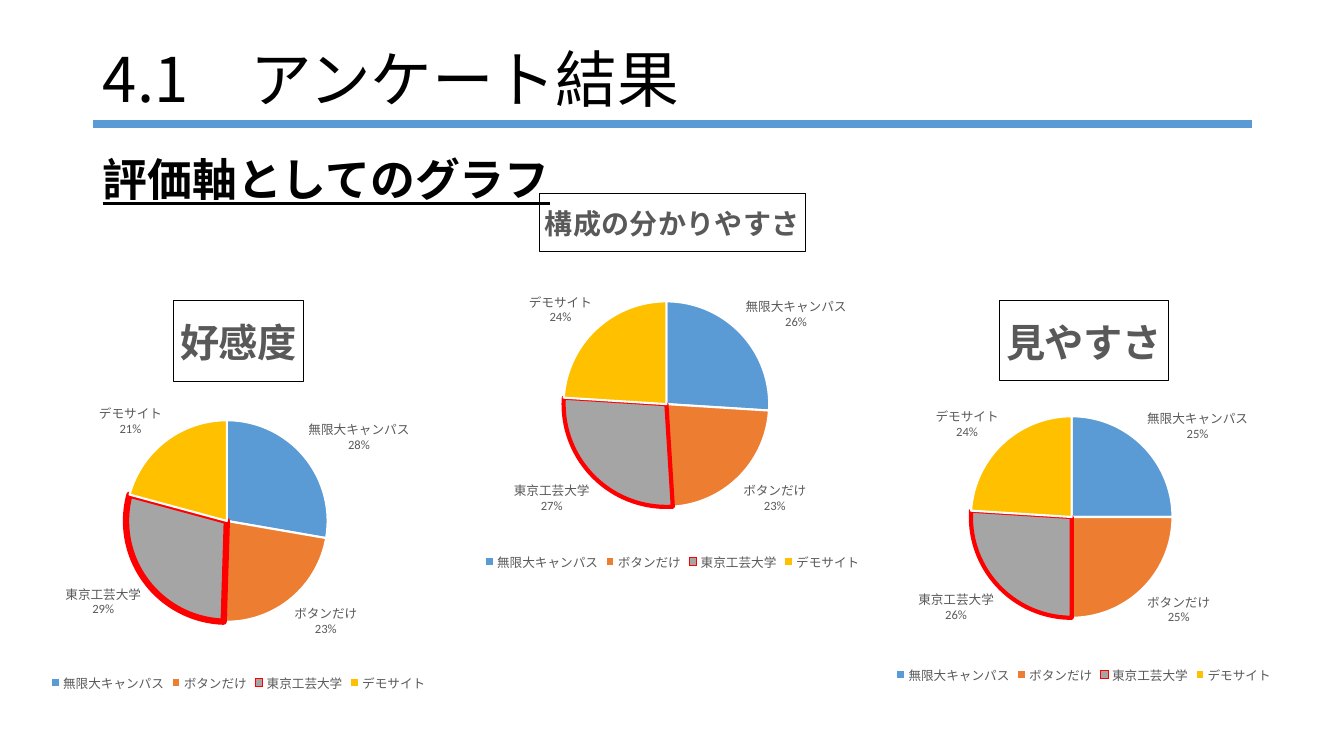
from lxml.etree import SubElement
from pptx import Presentation
from pptx.chart.data import CategoryChartData
from pptx.dml.color import RGBColor
from pptx.enum.chart import XL_CHART_TYPE, XL_LABEL_POSITION, XL_LEGEND_POSITION
from pptx.enum.shapes import MSO_CONNECTOR
from pptx.enum.text import MSO_ANCHOR, MSO_AUTO_SIZE, PP_ALIGN
from pptx.oxml import parse_xml
from pptx.oxml.ns import nsdecls, qn
from pptx.util import Inches, Pt

BLACK = RGBColor(0x00, 0x00, 0x00)
WHITE = RGBColor(0xFF, 0xFF, 0xFF)
DARK = RGBColor(0x59, 0x59, 0x59)
RED = RGBColor(0xFF, 0x00, 0x00)
BLUE = RGBColor(0x5B, 0x9B, 0xD5)
ORANGE = RGBColor(0xED, 0x7D, 0x31)
GRAY = RGBColor(0xA5, 0xA5, 0xA5)
GOLD = RGBColor(0xFF, 0xC0, 0x00)

SITES = {"無限大キャンパス": BLUE, "ボタンだけ": ORANGE,
         "東京工芸大学": GRAY, "デモサイト": GOLD}
OURS = "東京工芸大学"

# title, title size, values, chart box, pie centre, pie radius, outline width
PIES = [
    ("好感度", 28, (28, 23, 29, 21), (-0.83, 2.85, 6.39, 4.05), (2.25, 5.17), 1.0, 4.5),
    ("見やすさ", 28, (25, 25, 26, 24), (7.78, 2.85, 5.94, 3.97), (10.63, 5.13), 1.0, 3),
    ("構成の分かりやすさ", 20, (26, 23, 27, 24), (3.71, 1.79, 5.92, 3.91), (6.61, 4.01), 1.02, 3),
]


def write(frame, text, size, color=BLACK, face=None, bold=False, under=False, space=None):
    """Put one formatted paragraph into a text frame."""
    par = frame.paragraphs[0]
    par.alignment = PP_ALIGN.LEFT if space else None
    par.line_spacing = space
    run = par.add_run()
    run.text = text
    font = run.font
    font.size, font.bold, font.underline = Pt(size), bold, under
    font.color.rgb = color
    if face:
        font.name = face
        SubElement(font._element, qn("a:ea"), typeface=face)


def tint(font, size, color):
    font.size, font.name = Pt(size), "Calibri"
    font.color.rgb = color


class Deck:
    face = "Noto Sans CJK JP"

    def __init__(self):
        self.file = Presentation()
        self.file.slide_width, self.file.slide_height = Inches(13.33), Inches(7.5)
        self.slide = self.file.slides.add_slide(self.file.slide_layouts[5])

    def place(self, shape, box):
        shape.left, shape.top, shape.width, shape.height = map(Inches, box)
        shape.text_frame.word_wrap = True
        shape.text_frame.auto_size = MSO_AUTO_SIZE.NONE
        return shape.text_frame

    def title(self, text, box):
        frame = self.place(self.slide.shapes.title, box)
        frame.vertical_anchor = MSO_ANCHOR.MIDDLE
        write(frame, text, 44, face=self.face, space=0.9)

    def head(self, text, box):
        frame = self.place(self.slide.shapes.add_textbox(0, 0, 0, 0), box)
        write(frame, text, 32, face=self.face, bold=True, under=True, space=0.9)

    def rule(self, left, right, top):
        line = self.slide.shapes.add_connector(
            MSO_CONNECTOR.STRAIGHT, *map(Inches, (left, top, right, top)))
        line.line.color.rgb, line.line.width = BLUE, Pt(6)
        SubElement(line._element.spPr, qn("a:effectLst"))

    def pie(self, title, size, values, box, mid, radius, edge):
        data = CategoryChartData()
        data.categories = list(SITES)
        data.add_series("Series 1", values)
        chart = self.slide.shapes.add_chart(
            XL_CHART_TYPE.PIE, *map(Inches, box), data).chart
        tint(chart.font, 10, BLACK)

        head = chart.chart_title
        write(head.text_frame, title, size, color=DARK, bold=True)
        head.format.line.color.rgb = BLACK
        head.format.line.width = Pt(0.75)

        chart.has_legend = True
        chart.legend.position = XL_LEGEND_POSITION.BOTTOM
        chart.legend.include_in_layout = False
        tint(chart.legend.font, 9, DARK)

        plot = chart.plots[0]
        plot.vary_by_categories = True
        for i, (name, color) in enumerate(SITES.items()):
            look = plot.series[0].points[i].format
            look.fill.solid()
            look.fill.fore_color.rgb = color
            look.line.color.rgb = RED if name == OURS else WHITE
            look.line.width = Pt(edge if name == OURS else 1.5)

        plot.has_data_labels = True
        tags = plot.data_labels
        tags.show_percentage = tags.show_category_name = True
        tags.show_value = False
        tags.position = XL_LABEL_POSITION.OUTSIDE_END
        tags.number_format, tags.number_format_is_linked = "0%", False
        tint(tags.font, 9, DARK)
        mark = tags._element.find(qn("c:showBubbleSize"))
        if mark is not None:
            gap = SubElement(tags._element, qn("c:separator"))
            gap.text = "\n"
            mark.addnext(gap)
        self.fit(chart, box, mid, radius)

    def fit(self, chart, box, mid, radius):
        """Fix the pie's circle inside its chart, as shares of the chart box."""
        left, top, wide, high = box
        parts = {"x": (mid[0] - radius - left) / wide, "y": (mid[1] - radius - top) / high,
                 "w": 2 * radius / wide, "h": 2 * radius / high}
        area = chart._chartSpace.chart.plotArea
        old = area.find(qn("c:layout"))
        if old is not None:
            area.remove(old)
        rows = '<c:layoutTarget val="inner"/><c:xMode val="edge"/><c:yMode val="edge"/>'
        rows += "".join(f'<c:{key} val="{part:.4f}"/>' for key, part in parts.items())
        area.insert(0, parse_xml(
            f'<c:layout {nsdecls("c")}><c:manualLayout>{rows}</c:manualLayout></c:layout>'))


def main():
    deck = Deck()
    deck.head("評価軸としてのグラフ", (0.92, 1.52, 11.5, 5.24))
    deck.title("4.1\u3000アンケート結果".replace("\u3000", "　"), (0.92, 0.4, 11.5, 0.83))
    deck.rule(0.92, 12.42, 1.23)
    for pie in PIES:
        deck.pie(*pie)
    deck.file.save("out.pptx")


if __name__ == "__main__":
    main()
